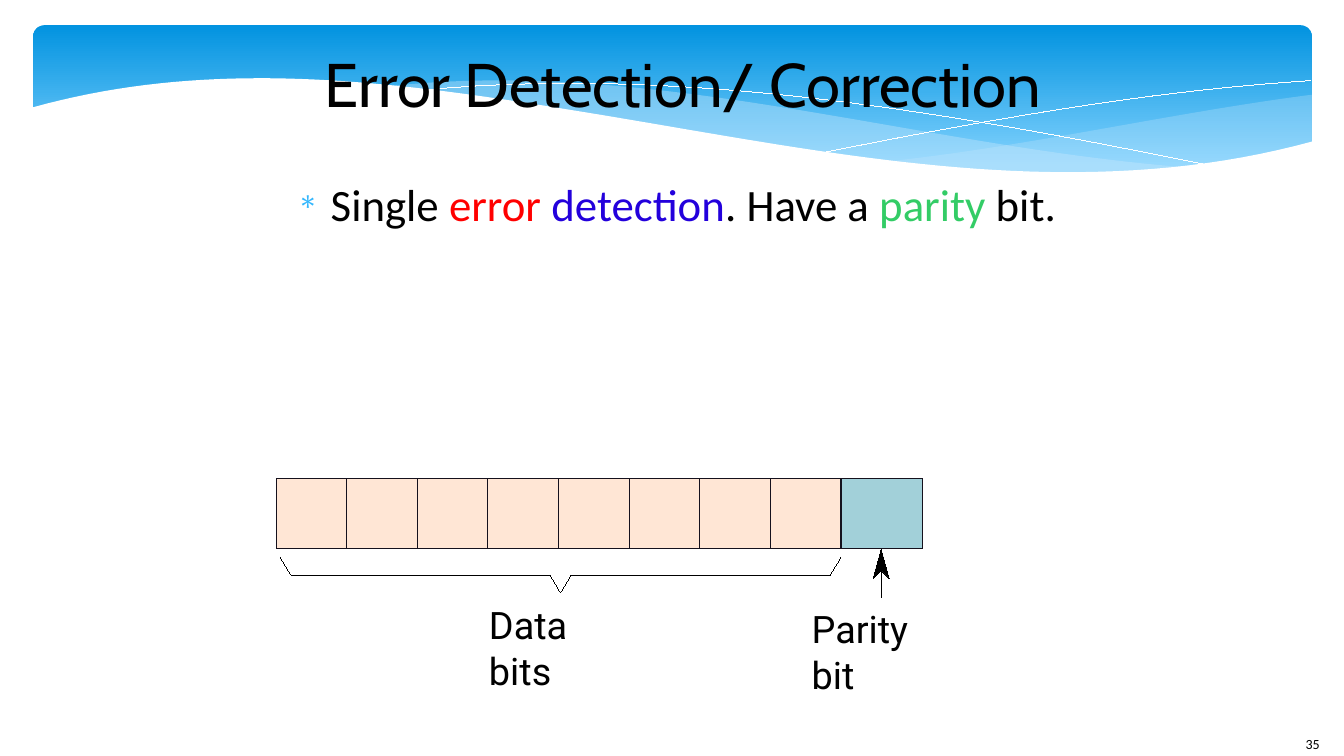
from dataclasses import dataclass
from math import comb

from lxml import etree
from pptx import Presentation
from pptx.dml.color import RGBColor
from pptx.enum import shapes, text
from pptx.oxml import ns
from pptx.util import Inches, Pt


@dataclass(frozen=True)
class Theme:
    black: str = "000000"
    white: str = "FFFFFF"
    sky_top: str = "0293E0"
    sky_bottom: str = "83D3FE"
    wave: str = "C6E7FC"
    bullet: str = "31B6FD"
    red: str = "FF0000"
    blue: str = "2300DC"
    green: str = "33CC66"
    data_cell: str = "FFE6D5"
    parity_cell: str = "A2D0D9"
    cell_edge: str = "15111D"
    title_size: int = 44
    body_size: int = 32
    label_size: int = 27
    number_size: int = 10
    hairline: float = 0.01


theme = Theme()
presentation = Presentation()
presentation.slide_width = Inches(13.33)
presentation.slide_height = Inches(7.5)
slide = presentation.slides.add_slide(presentation.slide_layouts[1])


def paint(shape, fill=None, line=None, alpha=None):
    """Give a shape a flat fill and a hairline, or none of either."""
    shape.shadow.inherit = False
    if fill:
        shape.fill.solid()
        shape.fill.fore_color.rgb = RGBColor.from_string(fill)
        if alpha:
            color = shape.fill._xPr.find(".//" + ns.qn("a:srgbClr"))
            etree.SubElement(color, ns.qn("a:alpha"), val=str(alpha * 1000))
    else:
        shape.fill.background()
    if line:
        shape.line.color.rgb = RGBColor.from_string(line)
        shape.line.width = Pt(theme.hairline)
    else:
        shape.line.fill.background()


def add_outline(points, close=False, **style):
    """Draw straight segments through points given in inches."""
    corners = [(Inches(x), Inches(y)) for x, y in points]
    builder = slide.shapes.build_freeform(*corners[0])
    builder.add_line_segments(corners[1:], close=close)
    paint(builder.convert_to_shape(), **style)


# Header band
band = slide.shapes.add_shape(
    shapes.MSO_SHAPE.ROUNDED_RECTANGLE, Inches(0.33), Inches(0.25), Inches(12.68), Inches(1.56))
band.adjustments[0] = 0.071
paint(band)
band.fill.gradient()
band.fill.gradient_angle = 270
for stop, color, position in zip(
        band.fill.gradient_stops, (theme.sky_top, theme.sky_bottom), (0, 0.9)):
    stop.color.rgb = RGBColor.from_string(color)
    stop.position = position

# Header curves: start x, end x and the four control heights of a cubic Bézier;
# the control points are evenly spaced in x, so x grows in equal steps
curve_controls = {
    "right wave top": (13.01, 8.82, (0.94, 1.12, 1.45, 1.6)),
    "right wave bottom": (8.82, 13.01, (1.6, 1.74, 1.86, 1.42)),
    "middle wave top": (11.9, 3.82, (1.67, 1.49, 0.55, 0.86)),
    "middle wave bottom": (3.82, 11.9, (0.86, 1.14, 1.95, 1.67)),
    "falling line": (4.12, 12.1, (0.9, 0.64, 1.12, 1.66)),
    "rising line": (8.18, 13, (1.51, 1.19, 0.9, 0.8)),
    "crest": (0.31, 5.96, (1.07, 0.54, 0.83, 1.14)),
    "trough": (5.96, 13.03, (1.14, 1.53, 2.05, 1.4)),
}
steps = 40
curves = {}
for name, (start, end, heights) in curve_controls.items():
    curves[name] = []
    for step in range(steps + 1):
        t = step / steps
        y = sum(comb(3, k) * (1 - t) ** (3 - k) * t ** k * height
                for k, height in enumerate(heights))
        curves[name].append((start + (end - start) * t, y))

# Translucent waves, thin white lines, and the white area below the header
for wave, alpha in (("right wave", 29), ("middle wave", 40)):
    add_outline(curves[wave + " top"] + curves[wave + " bottom"],
                close=True, fill=theme.wave, alpha=alpha)
for name in ("falling line", "rising line"):
    add_outline(curves[name], line=theme.white)
floor = [(13.03, 2.24), (0.31, 2.24)]
add_outline(curves["crest"] + curves["trough"] + floor, close=True, fill=theme.white)

# Title and body placeholders, drawn above the header
title = slide.shapes.title
body = slide.placeholders[1]
for shape, top, height, anchor in (
        (title, 0.31, 1.02, text.MSO_ANCHOR.MIDDLE), (body, 1.75, 4.95, text.MSO_ANCHOR.TOP)):
    shape.left, shape.top = Inches(2.72), Inches(top)
    shape.width, shape.height = Inches(8.11), Inches(height)
    frame = shape.text_frame
    frame.margin_left = frame.margin_right = frame.margin_top = frame.margin_bottom = 0
    frame.vertical_anchor = anchor
    frame.auto_size = text.MSO_AUTO_SIZE.NONE
    slide.shapes._spTree.append(shape._element)

title.text_frame.text = "Error Detection/ Correction"
paragraph = title.text_frame.paragraphs[0]
paragraph.alignment = text.PP_ALIGN.CENTER
paragraph.font.name, paragraph.font.size = "Cabin", Pt(theme.title_size)
paragraph.font.color.rgb = RGBColor.from_string(theme.black)

# Bulleted sentence with coloured key words
paragraph = body.text_frame.paragraphs[0]
paragraph.space_before, paragraph.space_after = Pt(0), Pt(14.1)
properties = paragraph._p.get_or_add_pPr()
properties.set("marL", str(Inches(0.56)))
properties.set("indent", str(Inches(-0.33)))
bullet_color = etree.SubElement(properties, ns.qn("a:buClr"))
etree.SubElement(bullet_color, ns.qn("a:srgbClr"), val=theme.bullet)
etree.SubElement(properties, ns.qn("a:buSzPct"), val="65000")
etree.SubElement(properties, ns.qn("a:buFont"), typeface="Symbol")
etree.SubElement(properties, ns.qn("a:buChar"), char="∗")
paragraph.font.name, paragraph.font.size = "Calibri", Pt(theme.body_size)
for words, color in (
        ("Single ", theme.black), ("error ", theme.red), ("detection", theme.blue),
        (". Have a ", theme.black), ("parity", theme.green), (" bit.", theme.black)):
    run = paragraph.add_run()
    run.text = words
    run.font.color.rgb = RGBColor.from_string(color)

# Parity cell, then eight data cells in a row
cell_top, cell_width, data_bits = 4.75, 0.7, 8
cells = [(8.35, 0.8, theme.parity_cell)]
cells += [(2.74 + cell_width * i, cell_width, theme.data_cell) for i in range(data_bits)]
for left, width, color in cells:
    cell = slide.shapes.add_shape(
        shapes.MSO_SHAPE.RECTANGLE, Inches(left), Inches(cell_top), Inches(width), Inches(0.69))
    paint(cell, fill=color, line=theme.cell_edge)

# Brace under the data cells, in two mirrored halves
brace_center = 5.56
half_brace = ((2.78, 5.53), (2.67, 5.71), (0.1, 5.71), (0, 5.88))
for side in (-1, 1):
    add_outline([(brace_center + side * x, y) for x, y in half_brace], line=theme.black)

# Labels and slide number
for words, left, top, width, height, margin, font, size in (
        ("Data bits", 4.85, 5.97, 1.36, 0.45, 0, "Roboto", theme.label_size),
        ("Parity bit", 8.05, 6.01, 1.38, 0.45, 0, "Roboto", theme.label_size),
        ("35", 12.85, 7.25, 0.82, 0.4, 0.1, "Calibri", theme.number_size)):
    label = slide.shapes.add_textbox(Inches(left), Inches(top), Inches(width), Inches(height))
    frame = label.text_frame
    frame.word_wrap = True
    frame.margin_left = frame.margin_right = Inches(margin)
    frame.margin_top = frame.margin_bottom = Inches(margin / 2)
    frame.text = words
    paragraph = frame.paragraphs[0]
    paragraph.font.name, paragraph.font.size = font, Pt(size)
    paragraph.font.color.rgb = RGBColor.from_string(theme.black)

# Arrow up to the parity cell, with a notched head
arrow_x, arrow_tip = 8.74, 5.45
stem = slide.shapes.add_connector(
    shapes.MSO_CONNECTOR.STRAIGHT,
    Inches(arrow_x), Inches(5.93), Inches(arrow_x), Inches(arrow_tip))
stem.line.color.rgb = RGBColor.from_string(theme.black)
stem.line.width = Pt(theme.hairline)
etree.SubElement(stem._element.spPr, ns.qn("a:effectLst"))
head = ((0, 0.21), (0.08, 0.29), (0, 0), (-0.08, 0.29))
add_outline([(arrow_x + x, arrow_tip + y) for x, y in head],
            close=True, fill=theme.black, line=theme.black)

presentation.save("out.pptx")
